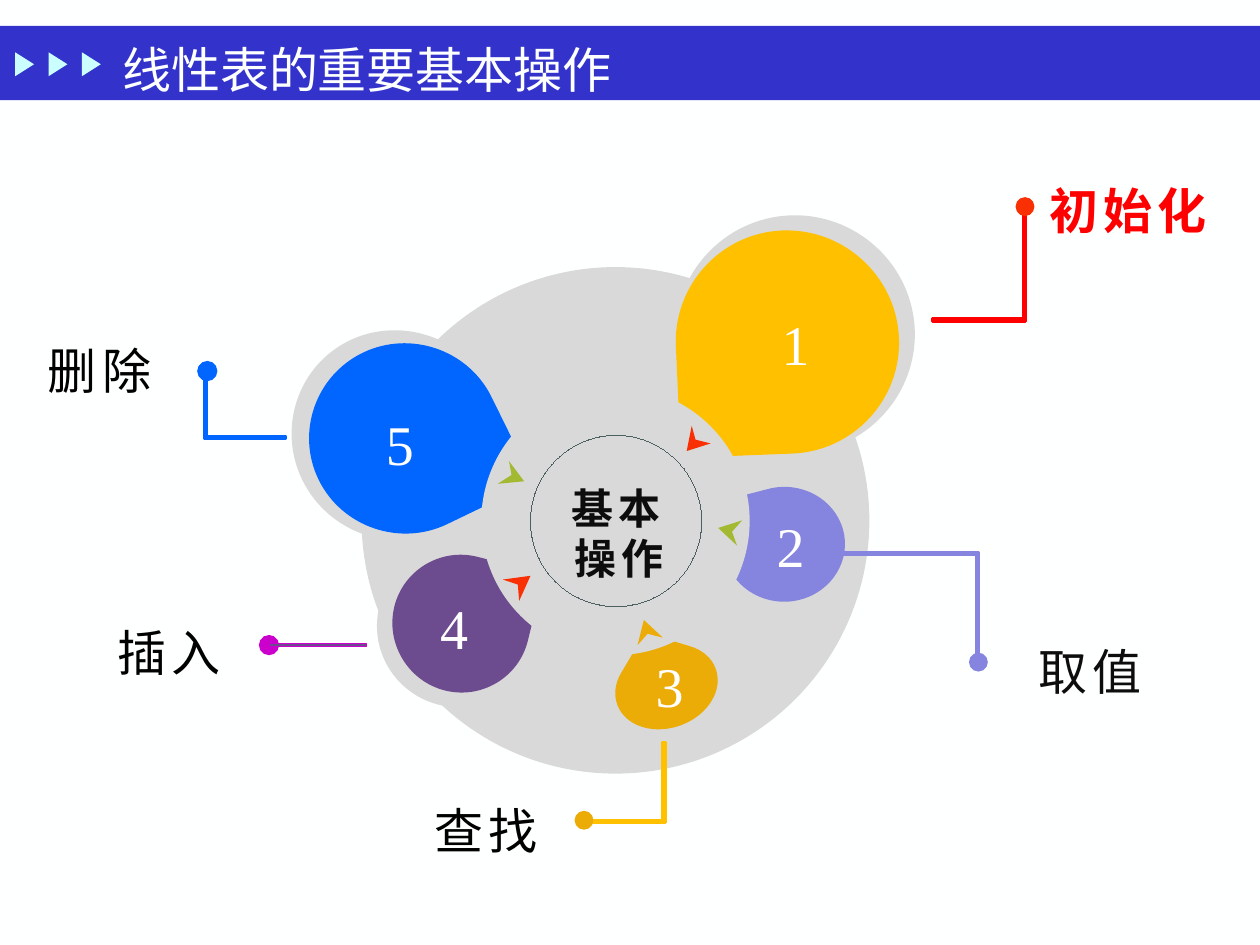
from dataclasses import dataclass
from math import cos, radians, sin
from typing import Optional

from pptx import Presentation
from pptx.dml.color import RGBColor
from pptx.enum.shapes import MSO_SHAPE
from pptx.enum.text import MSO_ANCHOR, MSO_AUTO_SIZE, PP_ALIGN
from pptx.oxml.ns import qn
from pptx.oxml.xmlchemy import OxmlElement
from pptx.util import Emu, Inches, Pt

# The slide is a grid of 1000 columns by 750 rows of square cells.
COLUMNS, ROWS = 1000, 750
SLIDE_WIDTH = Inches(10)
CELL = SLIDE_WIDTH // COLUMNS
TITLE_ONLY = 5
QUARTER_ARC = 0.55  # control-point distance of a quarter circle
HAIRLINE = 0.01
FONT = "Times New Roman"
OVAL, RECTANGLE = MSO_SHAPE.OVAL, MSO_SHAPE.RECTANGLE
TRIANGLE = MSO_SHAPE.ISOSCELES_TRIANGLE
CENTER, LEFT = PP_ALIGN.CENTER, PP_ALIGN.LEFT
MIDDLE, GROW = MSO_ANCHOR.MIDDLE, MSO_AUTO_SIZE.SHAPE_TO_FIT_TEXT
GREY, WHITE, BLACK, NEAR_BLACK = "D9D9D9", "FFFFFF", "000000", "0D0D0D"
PAPER, BAND, RING, PALE = "FEFFFF", "3333CC", "4C6062", "CBFFFF"
RED, ORANGE, GOLD, AMBER = "FF0000", "F83003", "FFC000", "EBAC07"
GREEN, BLUE, LILAC, PURPLE, MAGENTA = "A2B932", "0066FF", "8585E0", "6C4C8F", "CC00CC"

Point = tuple[float, float]


@dataclass(frozen=True)
class Box:
    column: float
    row: float
    width: float
    height: float


@dataclass(frozen=True)
class Teardrop:
    """An oval with a corner: the arc runs from start, away from the tip, to end."""
    start: Point
    tip: Point
    end: Point
    color: str
    rotation: float = 0


@dataclass(frozen=True)
class Arrow:
    points: list[Point]
    color: str
    rotation: float = 0


@dataclass(frozen=True)
class Leader:
    corner: Point
    end_column: float
    end_row: float
    color: str


@dataclass(frozen=True)
class Dot:
    column: float
    row: float
    color: str
    line: Optional[str] = None


@dataclass(frozen=True)
class Label:
    text: str
    box: Box
    color: str = BLACK
    size: int = 28
    bold: bool = False
    wrap: bool = False


HALOS = [
    Teardrop((536, 269.5), (540, 364), (635, 360), GREY),
    Teardrop((352, 421), (427, 385.5), (390, 310), GREY),
    Teardrop((429, 506), (439, 442), (374.5, 432.5), GREY),
]
DROPS = [
    Teardrop((419, 508.5), (432, 455.5), (379, 442), PURPLE),
    Teardrop((355, 416), (423.5, 383), (390, 315), BLUE),
    Teardrop((536.5, 275), (540.5, 363.5), (629, 360), GOLD),
    Teardrop((610, 388), (563.5, 400), (576, 444), LILAC, 346.9),
    Teardrop((548, 513), (512, 502), (493, 534), AMBER, 340.9),
]
ARROWS = [
    Arrow([(399, 460), (421, 457), (412, 477), (411, 464)], ORANGE),
    Arrow([(404, 366), (416, 382), (395, 384), (406, 377)], GREEN),
    Arrow([(564, 352), (545, 358), (549, 338), (552, 349)], ORANGE),
    Arrow([(585, 433), (570, 419), (589, 413), (581, 422)], GREEN, 327.9),
    Arrow([(506, 512), (511, 492), (526, 506), (514, 503)], AMBER, 343.4),
]
LEADERS = [
    Leader((814, 255), 740, 160, RED),
    Leader((777, 438.5), 640, 520, LILAC),
    Leader((528, 653), 461, 589, GOLD),
]
DELETE_LEADER = Leader((162, 348), 227, 290, BLUE)
DOTS = [
    Dot(806, 156.5, ORANGE), Dot(769, 518, LILAC),
    Dot(206, 504.5, MAGENTA, MAGENTA), Dot(456, 643.5, AMBER),
]
DELETE_DOT = Dot(157, 287, BLUE, BLUE)
LABELS = [
    Label("基本操作", Box(425, 376, 132, 94), NEAR_BLACK, 24, bold=True, wrap=True),
    Label("初始化", Box(817, 136, 157, 61), RED, bold=True),
    Label("查找", Box(329, 628, 114, 61)),
    Label("插入", Box(77, 487, 114, 61)),
    Label("取值", Box(808, 502, 114, 61), NEAR_BLACK),
    Label("删除", Box(22, 263, 114, 61)),
]
NUMBER_CORNERS = {"1": (605, 239), "5": (291, 318), "4": (334, 464),
                  "3": (505, 510), "2": (601, 399)}


def rgb(color: str) -> RGBColor:
    return RGBColor.from_string(color)


def place(box: Box) -> list[Emu]:
    return [Emu(round(cells * CELL)) for cells in (box.column, box.row, box.width, box.height)]


def paint(shape, fill: Optional[str], line: Optional[str] = None, points: float = 0) -> None:
    shape.shadow.inherit = False
    if fill:
        shape.fill.solid()
        shape.fill.fore_color.rgb = rgb(fill)
    else:
        shape.fill.background()
    if line:
        shape.line.color.rgb = rgb(line)
        shape.line.width = Pt(points)
    else:
        shape.line.fill.background()


def draw_preset(parent, preset, box: Box, fill: Optional[str],
                line: Optional[str] = None, points: float = 0):
    shape = parent.shapes.add_shape(preset, *place(box))
    paint(shape, fill, line, points)
    return shape


def turn(point: Point, degrees: float) -> Point:
    (x, y), angle = point, radians(degrees)
    return x * cos(angle) - y * sin(angle), x * sin(angle) + y * cos(angle)


def draw_outline(slide, points: list[Point], fill: str, line: Optional[str] = None,
                 width: float = 0, rotation: float = 0):
    """Draw points that show the turned outline; its frame is kept unturned."""
    unturned = [turn(point, -rotation) for point in points]
    first, *others = [(round(x * CELL), round(y * CELL)) for x, y in unturned]
    builder = slide.shapes.build_freeform(*first)
    builder.add_line_segments(others, close=True)
    shape = builder.convert_to_shape()
    half_width, half_height = shape.width / 2, shape.height / 2
    x, y = turn((shape.left + half_width, shape.top + half_height), rotation)
    shape.left, shape.top = round(x - half_width), round(y - half_height)
    shape.rotation = rotation
    paint(shape, fill, line, width)
    return shape


def bend_segments(shape, curves: int) -> None:
    """Turn the first line segments, three by three, into cubic curves."""
    segments = list(shape._element.iter(qn("a:lnTo")))
    for index in range(0, 3 * curves, 3):
        curve = OxmlElement("a:cubicBezTo")
        segments[index].addprevious(curve)
        for segment in segments[index:index + 3]:
            curve.append(segment[0])
            segment.getparent().remove(segment)


def draw_teardrop(slide, drop: Teardrop) -> None:
    center_x, center_y = (s + e - t for s, e, t in zip(drop.start, drop.end, drop.tip))
    ux, uy = drop.start[0] - center_x, drop.start[1] - center_y
    vx, vy = drop.end[0] - center_x, drop.end[1] - center_y
    quarters = [(ux, uy), (-vx, -vy), (-ux, -uy), (vx, vy)]
    points = [drop.start]
    for (ax, ay), (bx, by) in zip(quarters, quarters[1:]):
        for a, b in ((1, QUARTER_ARC), (QUARTER_ARC, 1), (0, 1)):
            points.append((center_x + a * ax + b * bx, center_y + a * ay + b * by))
    shape = draw_outline(slide, points + [drop.tip], drop.color, rotation=drop.rotation)
    bend_segments(shape, 3)


def draw_leader(slide, leader: Leader, thickness: float = 2) -> None:
    x, y = leader.corner
    inner_x = x + (thickness if leader.end_column > x else -thickness)
    inner_y = y + (thickness if leader.end_row > y else -thickness)
    outline = [(x, y), (leader.end_column, y), (leader.end_column, inner_y),
               (inner_x, inner_y), (inner_x, leader.end_row), (x, leader.end_row)]
    draw_outline(slide, outline, leader.color, leader.color, 1.5)


def draw_dot(slide, dot: Dot) -> None:
    draw_preset(slide, OVAL, Box(dot.column, dot.row, 15, 15), dot.color, dot.line, 0.75)


def format_text(paragraph, size: int, color: str, bold: bool = False) -> None:
    for run in paragraph.runs:
        run.font.name = FONT
        run.font.size = Pt(size)
        run.font.bold = bold
        run.font.color.rgb = rgb(color)


def draw_label(slide, label: Label) -> None:
    frame = slide.shapes.add_textbox(*place(label.box)).text_frame
    frame.margin_left = frame.margin_right = Inches(0.13)
    frame.margin_top = frame.margin_bottom = Inches(0.07)
    frame.word_wrap = label.wrap
    frame.auto_size = GROW
    frame.text = label.text
    paragraph = frame.paragraphs[0]
    paragraph.alignment = CENTER
    format_text(paragraph, label.size, label.color, label.bold)
    paragraph.runs[0].font._element.set("spc", "300")


def draw_header(slide) -> None:
    band = draw_preset(slide, RECTANGLE, Box(0, 20.5, COLUMNS, 59), BAND)
    markers = slide.shapes.add_group_shape()
    for index in range(3):
        draw_preset(markers, TRIANGLE, Box(10 + 26.5 * index, 43.5, 19, 15), PALE).rotation = 90
    for position, shape in enumerate((band, markers), start=2):
        slide.shapes._spTree.insert(position, shape._element)  # behind the title
    title = slide.shapes.title
    title.left, title.top, title.width, title.height = place(Box(69, 24.5, 499, 60))
    frame = title.text_frame
    frame.text = "线性表的重要基本操作"
    frame.margin_left = Inches(0.28)
    frame.vertical_anchor = MIDDLE
    frame.paragraphs[0].alignment = LEFT
    format_text(frame.paragraphs[0], 28, PAPER)


def main() -> None:
    presentation = Presentation()
    presentation.slide_width, presentation.slide_height = SLIDE_WIDTH, CELL * ROWS
    slide = presentation.slides.add_slide(presentation.slide_layouts[TITLE_ONLY])
    slide.background.fill.solid()
    slide.background.fill.fore_color.rgb = rgb(PAPER)
    draw_header(slide)
    for halo in HALOS:
        draw_teardrop(slide, halo)
    draw_preset(slide, OVAL, Box(287, 212, 403, 402), GREY)
    for drop in DROPS:
        draw_teardrop(slide, drop)
    draw_preset(slide, OVAL, Box(382, 307, 213, 213), GREY)
    for arrow in ARROWS:
        draw_outline(slide, arrow.points, arrow.color, rotation=arrow.rotation)
    draw_preset(slide, OVAL, Box(421, 345.5, 136, 136), None, RING, HAIRLINE)
    for leader in LEADERS:
        draw_leader(slide, leader)
    for dot in DOTS:
        draw_dot(slide, dot)
    numbers = [Label(text, Box(*corner, 53, 67), WHITE, 32)
               for text, corner in NUMBER_CORNERS.items()]
    for label in LABELS + numbers:
        draw_label(slide, label)
    draw_preset(slide, RECTANGLE, Box(214, 511, 77, 2), PURPLE, MAGENTA, 0.75)
    draw_leader(slide, DELETE_LEADER)
    draw_dot(slide, DELETE_DOT)
    presentation.save("out.pptx")


if __name__ == "__main__":
    main()
